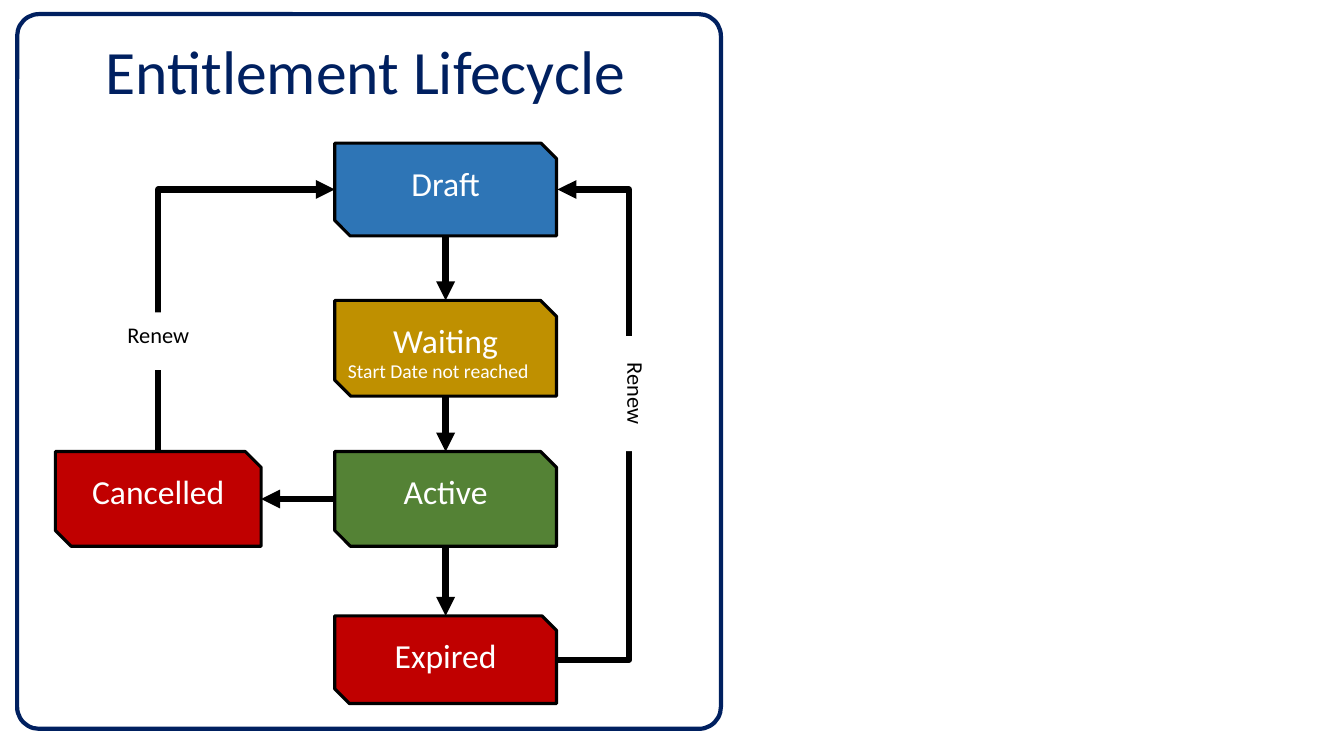
from dataclasses import dataclass
from typing import Any

from lxml.etree import SubElement
from pptx import Presentation
from pptx.dml.color import RGBColor
from pptx.enum.shapes import MSO_CONNECTOR, MSO_SHAPE
from pptx.enum.text import MSO_ANCHOR, MSO_AUTO_SIZE, PP_ALIGN
from pptx.oxml.ns import qn
from pptx.util import Inches, Pt

CELL = Inches(1)
COLUMNS, ROWS = 13.33, 7.5
NAVY, BLACK, WHITE, RED = "002060", "000000", "FFFFFF", "C00000"
MAIN_LEFT, MAIN_WIDTH = 3.32, 2.2
RENEW_COLUMN = 6.25

STATES = {
    "Draft": (MAIN_LEFT, 1.42, MAIN_WIDTH, 0.92, "2E75B6"),
    "Waiting": (MAIN_LEFT, 2.98, MAIN_WIDTH, 0.95, "BF9000"),
    "Active": (MAIN_LEFT, 4.48, MAIN_WIDTH, 0.94, "548235"),
    "Cancelled": (0.55, 4.48, 2.04, 0.94, RED),
    "Expired": (MAIN_LEFT, 6.11, MAIN_WIDTH, 0.87, RED),
}


def color(value):
    """Turn a hex string into a colour."""
    return RGBColor.from_string(value)


def cells(*counts):
    """Turn grid cell counts into lengths."""
    return [round(count * CELL) for count in counts]


def assign(target, values):
    """Set every attribute named in a dict of format values."""
    for name, value in values.items():
        setattr(target, name, value)


def edge(state, across, down):
    """Find a point on a state's box, given as shares of its size."""
    left, top, width, height, _ = STATES[state]
    return left + across * width, top + down * height


@dataclass
class Diagram:
    """Style and current slide, with a method for each kind of element."""

    page: Any
    font: str = "Calibri"

    def put_text(self, box, text, size, ink, align=PP_ALIGN.CENTER, after=0,
                 inset=(0.2, 0.16), **frame_format):
        """Put one formatted paragraph in a box."""
        side, end = cells(*inset)
        assign(box.text_frame, {
            "margin_left": side, "margin_right": side,
            "margin_top": end, "margin_bottom": end, "word_wrap": True,
            "vertical_anchor": MSO_ANCHOR.TOP,
            "auto_size": MSO_AUTO_SIZE.NONE, **frame_format})
        para = box.text_frame.paragraphs[0]
        assign(para, {"alignment": align, "line_spacing": 0.9,
                      "space_before": Pt(0), "space_after": Pt(after)})
        span = para.add_run()
        span.text = text
        assign(span.font, {"name": self.font, "size": Pt(size)})
        span.font.color.rgb = color(ink)

    def shape(self, kind, place, fill, line=None, weight=0):
        """Draw a filled preset shape."""
        box = self.page.shapes.add_shape(kind, *cells(*place))
        box.shadow.inherit = False
        box.fill.solid()
        box.fill.fore_color.rgb = color(fill)
        if line:
            box.line.color.rgb = color(line)
            box.line.width = Pt(weight)
        else:
            box.line.fill.background()
        return box

    def panel(self, place):
        """Draw the rounded frame."""
        box = self.shape(MSO_SHAPE.ROUNDED_RECTANGLE, place, WHITE, NAVY, 3)
        box.adjustments[0] = 0.031

    def title(self, text, place):
        """Place the title in front of the frame."""
        box = self.page.shapes.title
        assign(box, dict(zip(("left", "top", "width", "height"), cells(*place))))
        box.fill.solid()
        box.fill.fore_color.rgb = color(WHITE)
        self.put_text(box, text, 44, NAVY, inset=(0.1, 0.05),
                      vertical_anchor=MSO_ANCHOR.MIDDLE)
        box.element.getparent().append(box.element)

    def state(self, name):
        """Draw a lifecycle state."""
        *place, fill = STATES[name]
        box = self.shape(MSO_SHAPE.SNIP_2_DIAG_RECTANGLE, place, fill, BLACK, 2.25)
        self.put_text(box, name, 24, WHITE)

    def label(self, text, place, rotation=0):
        """Draw a label that interrupts an arrow."""
        box = self.shape(MSO_SHAPE.RECTANGLE, place, WHITE)
        box.rotation = rotation
        self.put_text(box, text, 16, BLACK, after=6,
                      auto_size=MSO_AUTO_SIZE.SHAPE_TO_FIT_TEXT)

    def note(self, text, place):
        """Add a small remark."""
        box = self.page.shapes.add_textbox(*cells(*place))
        self.put_text(box, text, 14, WHITE, PP_ALIGN.LEFT, 6,
                      auto_size=MSO_AUTO_SIZE.SHAPE_TO_FIT_TEXT)

    def arrow(self, start, end, kind=MSO_CONNECTOR.STRAIGHT):
        """Draw an arrow between two points."""
        link = self.page.shapes.add_connector(kind, *cells(*start, *end))
        link.line.color.rgb = color(BLACK)
        link.line.width = Pt(4.5)
        properties = link.element.spPr
        SubElement(properties.find(qn("a:ln")), qn("a:tailEnd"), type="triangle")
        SubElement(properties, qn("a:effectLst"))
        return link

    def side_arrow(self, start, end, column):
        """Draw an arrow that runs out to a column and back."""
        link = self.arrow(start, end, MSO_CONNECTOR.ELBOW)
        guides = link.element.spPr.find(qn("a:prstGeom")).get_or_add_avLst()
        share = round(100000 * (column - start[0]) / (end[0] - start[0]))
        SubElement(guides, qn("a:gd"), name="adj1", fmla=f"val {share}")

    def corner_arrow(self, start, end):
        """Draw an arrow that goes up, then right."""
        middle_x, middle_y = (start[0] + end[0]) / 2, (start[1] + end[1]) / 2
        half_rise, half_run = (start[1] - end[1]) / 2, (end[0] - start[0]) / 2
        link = self.arrow((middle_x + half_rise, middle_y + half_run),
                          (middle_x - half_rise, middle_y - half_run),
                          MSO_CONNECTOR.ELBOW)
        properties = link.element.spPr
        properties.find(qn("a:xfrm")).set("rot", str(90 * 60000))
        properties.find(qn("a:prstGeom")).set("prst", "bentConnector2")


def main():
    """Build the lifecycle slide."""
    deck = Presentation()
    assign(deck, dict(zip(("slide_width", "slide_height"), cells(COLUMNS, ROWS))))
    diagram = Diagram(deck.slides.add_slide(deck.slide_layouts[5]))
    diagram.panel((0.17, 0.14, 6.98, 7.09))
    for name in STATES:
        diagram.state(name)
    steps = ("Draft", "Waiting", "Active", "Expired")
    for above, below in zip(steps, steps[1:]):
        diagram.arrow(edge(above, 0.5, 1), edge(below, 0.5, 0))
    diagram.arrow(edge("Active", 0, 0.5), edge("Cancelled", 1, 0.5))
    draft_x, draft_y = edge("Draft", 1, 0.5)
    diagram.side_arrow(edge("Expired", 1, 0.5), (draft_x + 0.01, draft_y),
                       RENEW_COLUMN)
    diagram.corner_arrow(edge("Cancelled", 0.5, 0), edge("Draft", 0, 0.5))
    diagram.label("Renew", (1, 3.1, 1.14, 0.57))
    diagram.label("Renew", (RENEW_COLUMN - 0.57, 3.62, 1.14, 0.57), 90)
    diagram.note("Start Date not reached", (3.25, 3.48, 2.56, 0.54))
    diagram.title("Entitlement Lifecycle", (0.39, 0.28, 6.47, 0.92))
    deck.save("out.pptx")


if __name__ == "__main__":
    main()
